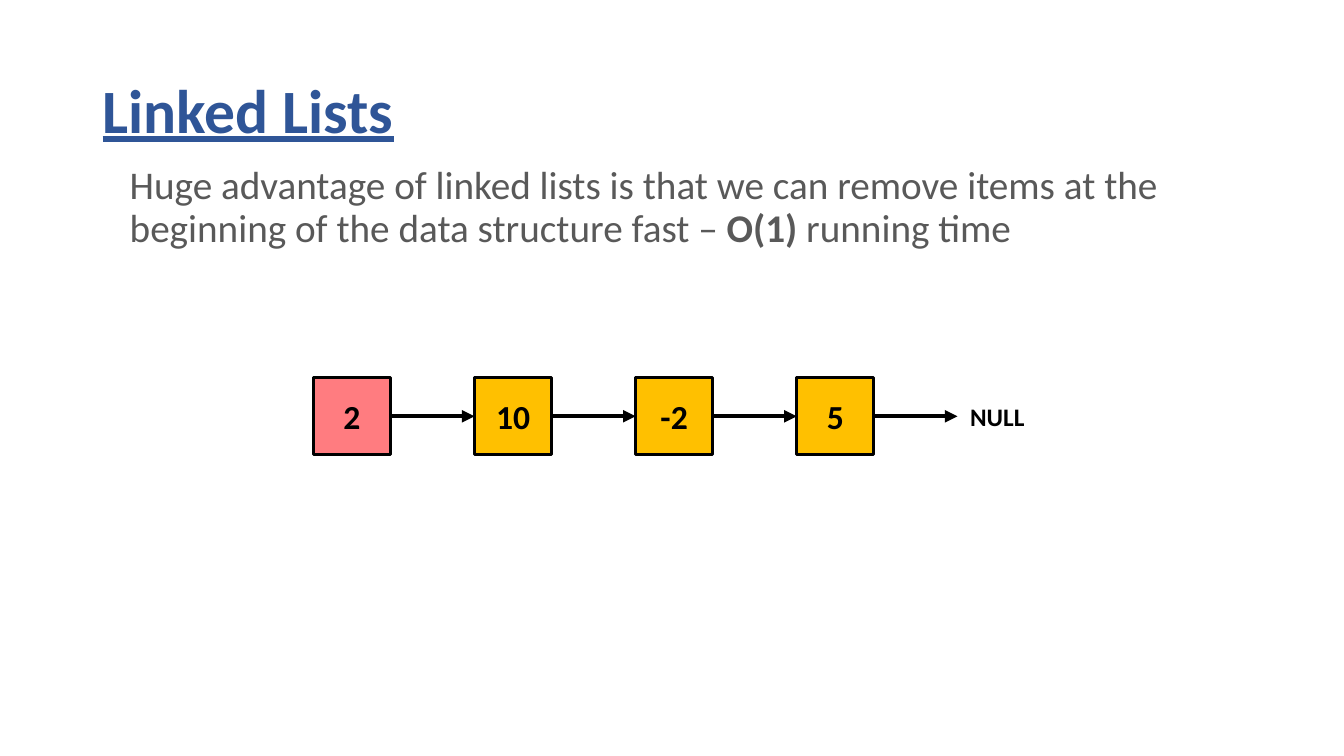
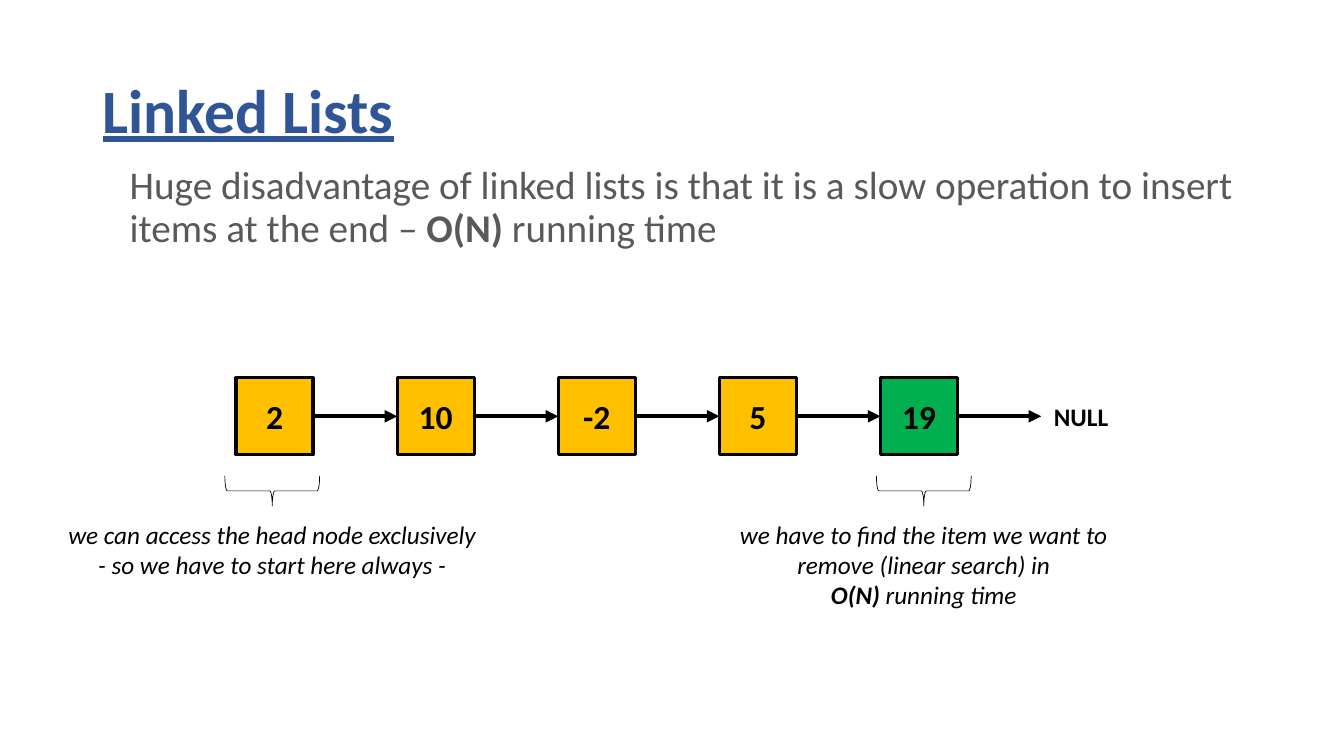
"""Build two slides on the strengths and weaknesses of linked lists."""
from dataclasses import dataclass

import lxml.etree
import pptx
import pptx.dml.color
import pptx.enum.shapes
import pptx.enum.text
import pptx.oxml.ns
import pptx.presentation
import pptx.shapes.autoshape
import pptx.shapes.connector
import pptx.slide
import pptx.text.text
import pptx.util

Cm = pptx.util.Cm
Pt = pptx.util.Pt
RGBColor = pptx.dml.color.RGBColor
Align = pptx.enum.text.PP_ALIGN
Anchor = pptx.enum.text.MSO_ANCHOR
Shape = pptx.enum.shapes.MSO_SHAPE

FONT = "Calibri"
BLACK = RGBColor(0x00, 0x00, 0x00)
TITLE_BLUE = RGBColor(0x2F, 0x55, 0x97)
BODY_GRAY = RGBColor(0x59, 0x59, 0x59)
AMBER = RGBColor(0xFF, 0xC0, 0x00)
PINK = RGBColor(0xFF, 0x7C, 0x80)
GREEN = RGBColor(0x00, 0xB0, 0x50)

TITLE_ONLY = 5
NODE_SIZE = Cm(1.94)
NODE_TOP = Cm(9.52)
NODE_PITCH = Cm(4.06)
ARROW_LENGTH = Cm(2.11)
NULL_GAP = Cm(2.18)
BRACE_DEPTH = Cm(0.76)
BRACE_SPAN = Cm(2.39)
BRACE_TOP = Cm(11.99)
NOTE_TOP = Cm(12.95)


@dataclass(frozen=True)
class Span:
    """A piece of text in one weight."""

    text: str
    bold: bool = False


@dataclass(frozen=True)
class Node:
    """One item of the linked list."""

    value: str
    color: RGBColor = AMBER


@dataclass(frozen=True)
class Note:
    """A brace with an explanation centred beneath it."""

    center: int
    width: int
    height: int
    paragraphs: list[list[Span]]


@dataclass(frozen=True)
class Lesson:
    """The content of one slide."""

    statement: list[Span]
    chain_left: int
    nodes: list[Node]
    notes: list[Note]


LESSONS = [
    Lesson(
        statement=[
            Span("Huge advantage of linked lists is that we can remove items "
                 "at the beginning of the data structure fast – "),
            Span("O(1)", bold=True),
            Span(" running time"),
        ],
        chain_left=Cm(7.9),
        nodes=[Node("2", PINK), Node("10"), Node("-2"), Node("5")],
        notes=[],
    ),
    Lesson(
        statement=[
            Span("Huge disadvantage of linked lists is that it is a slow "
                 "operation to insert items at the end – "),
            Span("O(N)", bold=True),
            Span(" running time"),
        ],
        chain_left=Cm(5.95),
        nodes=[Node("2"), Node("10"), Node("-2"), Node("5"), Node("19", GREEN)],
        notes=[
            Note(Cm(6.86), Cm(10.9), Cm(1.8), [
                [Span("we can access the head node exclusively")],
                [Span("- so we have to start here always -")],
            ]),
            Note(Cm(23.28), Cm(9.88), Cm(2.57), [
                [Span("we have to find the item we want to")],
                [Span("remove (linear search) in")],
                [Span("O(N)", bold=True), Span(" running time")],
            ]),
        ],
    ),
]


def write_text(frame: pptx.text.text.TextFrame, paragraphs: list[list[Span]], *,
               size: int, color: RGBColor = BLACK, italic: bool = False,
               underline: bool = False, align: Align = Align.LEFT,
               anchor: Anchor = Anchor.TOP, spacing: float = 1.0,
               wrap: bool = True) -> None:
    """Fill a text frame with formatted paragraphs."""
    frame.word_wrap = wrap
    frame.auto_size = pptx.enum.text.MSO_AUTO_SIZE.NONE
    frame.vertical_anchor = anchor
    for index, spans in enumerate(paragraphs):
        para = frame.add_paragraph() if index else frame.paragraphs[0]
        para.alignment = align
        para.line_spacing = spacing
        for span in spans:
            run = para.add_run()
            run.text = span.text
            font = run.font
            font.name, font.size = FONT, Pt(size)
            font.color.rgb = color
            font.bold, font.italic, font.underline = span.bold, italic, underline


def add_heading(page: pptx.slide.Slide, statement: list[Span]) -> None:
    """Add the shared title and the statement below it."""
    title = page.shapes.title
    title.left, title.top = Cm(2.33), Cm(1.01)
    title.width, title.height = Cm(29.21), Cm(3.68)
    write_text(title.text_frame, [[Span("Linked Lists", bold=True)]], size=44,
               color=TITLE_BLUE, underline=True, anchor=Anchor.MIDDLE, spacing=0.9)
    box = page.shapes.add_textbox(Cm(3.02), Cm(4.06), Cm(29.21), Cm(3))
    write_text(box.text_frame, [statement], size=28, color=BODY_GRAY, spacing=0.9)


def add_node(page: pptx.slide.Slide, node: Node,
             left: int) -> pptx.shapes.autoshape.Shape:
    """Draw one list item as a square."""
    square = page.shapes.add_shape(Shape.RECTANGLE, left, NODE_TOP,
                                   NODE_SIZE, NODE_SIZE)
    square.shadow.inherit = False
    square.fill.solid()
    square.fill.fore_color.rgb = node.color
    square.line.color.rgb = BLACK
    square.line.width = Pt(2.25)
    write_text(square.text_frame, [[Span(node.value, bold=True)]], size=24,
               align=Align.CENTER, anchor=Anchor.MIDDLE)
    return square


def add_arrow(page: pptx.slide.Slide, source: pptx.shapes.autoshape.Shape,
              target: pptx.shapes.autoshape.Shape | None) -> None:
    """Draw the arrow from one node to the next, or to the end of the list."""
    start = source.left + source.width
    middle = source.top + source.height // 2
    arrow = page.shapes.add_connector(pptx.enum.shapes.MSO_CONNECTOR.STRAIGHT,
                                      start, middle, start + ARROW_LENGTH, middle)
    arrow.begin_connect(source, 3)
    if target is not None:
        arrow.end_connect(target, 1)
    arrow.line.color.rgb = BLACK
    arrow.line.width = Pt(3)
    qualify = pptx.oxml.ns.qn
    line = arrow.line._get_or_add_ln()
    lxml.etree.SubElement(line, qualify("a:tailEnd"), type="triangle")
    lxml.etree.SubElement(arrow._element.spPr, qualify("a:effectLst"))


def add_chain(page: pptx.slide.Slide, nodes: list[Node], left: int) -> None:
    """Draw the linked list and its closing NULL."""
    squares = [add_node(page, node, left + index * NODE_PITCH)
               for index, node in enumerate(nodes)]
    for source, target in zip(squares, [*squares[1:], None]):
        add_arrow(page, source, target)
    end = squares[-1].left + NODE_SIZE + NULL_GAP
    box = page.shapes.add_textbox(end, Cm(9.98), Cm(1.88), Cm(1.02))
    write_text(box.text_frame, [[Span("NULL", bold=True)]], size=18, wrap=False)


def add_note(page: pptx.slide.Slide, note: Note) -> None:
    """Draw a downward brace and the explanation under it."""
    brace = page.shapes.add_shape(
        Shape.RIGHT_BRACE, note.center - BRACE_DEPTH // 2,
        BRACE_TOP - (BRACE_SPAN - BRACE_DEPTH) // 2, BRACE_DEPTH, BRACE_SPAN)
    brace.rotation = 90
    brace.shadow.inherit = False
    brace.fill.background()
    brace.line.color.rgb = BLACK
    brace.line.width = Pt(0.5)
    box = page.shapes.add_textbox(note.center - note.width // 2, NOTE_TOP,
                                  note.width, note.height)
    write_text(box.text_frame, note.paragraphs, size=18, italic=True,
               align=Align.CENTER, wrap=False)


def add_lesson(deck: pptx.presentation.Presentation, lesson: Lesson) -> None:
    """Add one complete slide."""
    page = deck.slides.add_slide(deck.slide_layouts[TITLE_ONLY])
    add_heading(page, lesson.statement)
    add_chain(page, lesson.nodes, lesson.chain_left)
    for note in lesson.notes:
        add_note(page, note)


def main() -> None:
    """Create and save the deck."""
    deck = pptx.Presentation()
    deck.slide_width, deck.slide_height = Cm(33.87), Cm(19.05)
    for lesson in LESSONS:
        add_lesson(deck, lesson)
    deck.save("out.pptx")


if __name__ == "__main__":
    main()
